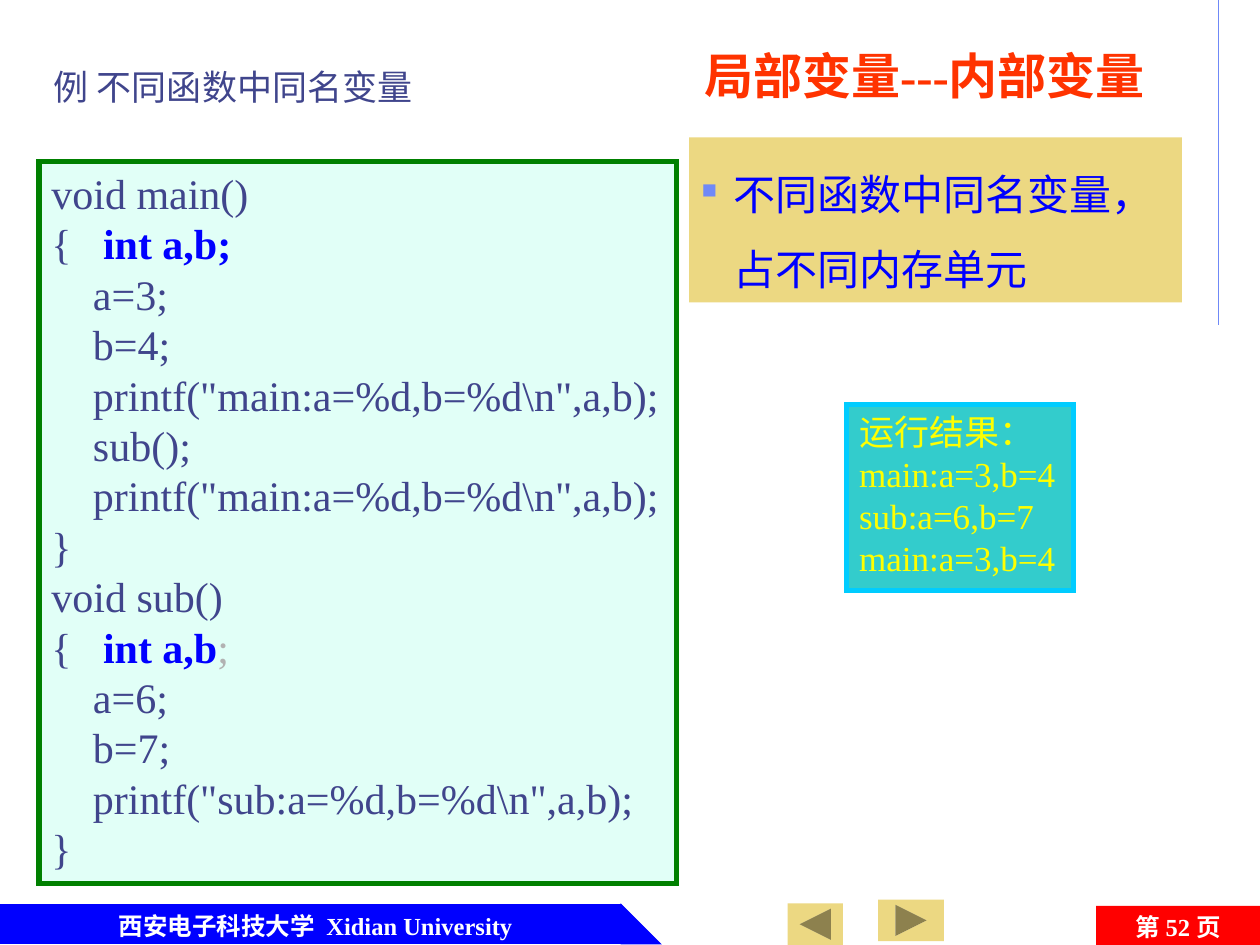
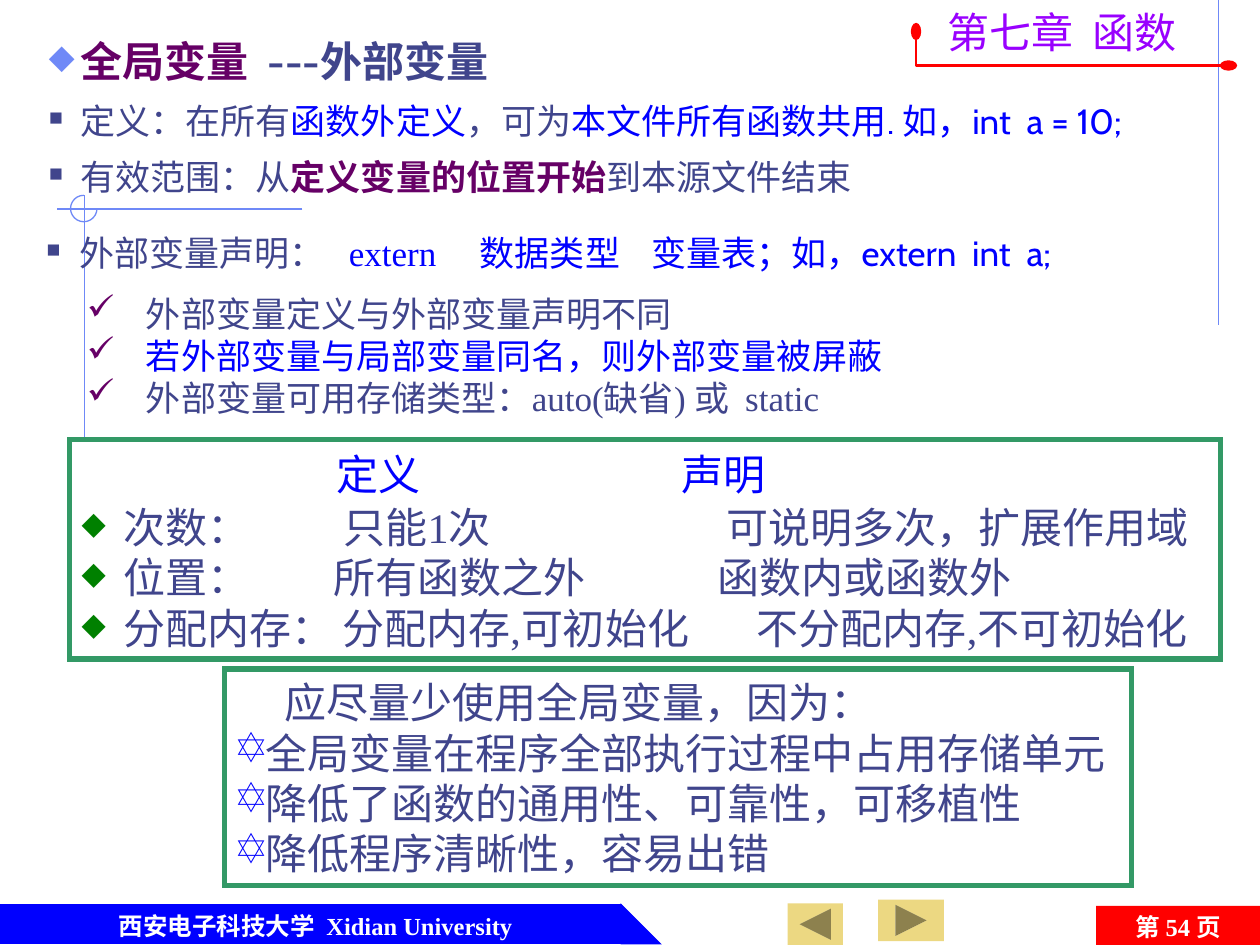
"""Build two lecture slides on local and global variables in C."""
from lxml import etree
from pptx import Presentation, util as u
from pptx.dml.color import RGBColor
from pptx.enum import shapes, text
from pptx.oxml.ns import qn

INK = RGBColor(0x40, 0x45, 0x8C)
BLUE = RGBColor(0x00, 0x00, 0xFF)
SKY = RGBColor(0x6F, 0x89, 0xF7)
RED = RGBColor(0xFF, 0x00, 0x00)
FLAME = RGBColor(0xFF, 0x33, 0x00)
VIOLET = RGBColor(0x99, 0x00, 0xFF)
PLUM = RGBColor(0x66, 0x00, 0x66)
SAND = RGBColor(0xEC, 0xD8, 0x82)
MINT = RGBColor(0xE1, 0xFF, 0xF7)
GREEN = RGBColor(0x00, 0x80, 0x00)
JADE = RGBColor(0x33, 0x99, 0x66)
TEAL = RGBColor(0x33, 0xCC, 0xCC)
CYAN = RGBColor(0x00, 0xCC, 0xFF)
YELLOW = RGBColor(0xFF, 0xFF, 0x00)
GREY = RGBColor(0xB2, 0xB2, 0xB2)
WHITE = RGBColor(0xFF, 0xFF, 0xFF)
ROMAN, CABIN, NOTO = "Times New Roman", "Cabin", "Noto Sans CJK SC"
KIND = shapes.MSO_SHAPE


def draw(slide, kind, at, fill=None, line=None, width=0.75):
    """Add a preset shape with the given fill and outline."""
    item = slide.shapes.add_shape(kind, *map(u.Inches, at))
    item.shadow.inherit = False
    if fill is None:
        item.fill.background()
    else:
        item.fill.solid()
        item.fill.fore_color.rgb = fill
    if line is None:
        item.line.fill.background()
    else:
        item.line.color.rgb = line
        item.line.width = u.Pt(width)
        etree.SubElement(item.line._get_or_add_ln(), qn("a:miter"), lim="800000")
    return item


def write(item, rows, size, font=ROMAN, align=text.PP_ALIGN.LEFT,
          anchor=text.MSO_ANCHOR.TOP):
    """Fill a shape with rows of (runs, options); a run is text, colour, bold, font."""
    frame = item.text_frame
    frame.word_wrap = True
    frame.auto_size = text.MSO_AUTO_SIZE.NONE
    frame.vertical_anchor = anchor
    frame.margin_left, frame.margin_right = u.Inches(0.1), 0
    frame.margin_top = frame.margin_bottom = u.Inches(0.05)
    if align == text.PP_ALIGN.CENTER:
        frame.margin_right = frame.margin_left
    for num, (runs, opts) in enumerate(rows):
        para = frame.add_paragraph() if num else frame.paragraphs[0]
        para.alignment = align
        pts = opts.get("size", size)
        para.line_spacing = u.Pt(opts.get("pitch", pts * 1.2))
        para.space_before = u.Pt(opts.get("gap", 0))
        props = para._p.get_or_add_pPr()
        left = opts.get("left", 0)
        hang = left if "mark" in opts else opts.get("hang", 0)
        props.set("marL", str(u.Inches(left)))
        props.set("indent", str(u.Inches(-hang)))
        if "mark" in opts:
            mark, tint, scale = opts["mark"]
            colour = etree.SubElement(props, qn("a:buClr"))
            etree.SubElement(colour, qn("a:srgbClr"), val=str(tint))
            etree.SubElement(props, qn("a:buSzPct"), val=str(scale * 1000))
            etree.SubElement(props, qn("a:buChar"), char=mark)
        if "tabs" in opts:
            stops = etree.SubElement(props, qn("a:tabLst"))
            for stop in opts["tabs"]:
                etree.SubElement(stops, qn("a:tab"), pos=str(u.Inches(stop)), algn="l")
        for words, tint, *more in runs:
            run = para.add_run()
            run.text = words
            run.font.size = u.Pt(pts)
            run.font.color.rgb = tint
            run.font.bold = bool(more and more[0])
            run.font.name = more[1] if len(more) > 1 else font
            east = etree.SubElement(run._r.get_or_add_rPr(), qn("a:ea"))
            east.set("typeface", NOTO)


deck = Presentation()
deck.slide_width, deck.slide_height = u.Inches(10), u.Inches(7.5)

RULE = (9.67, 0, 9.67, 2.58)
CROSS = [(2.4, 1.66, 0.45, 1.66), (0.67, 1.55, 0.67, 4.09)]
pages = []
for number, rules in (("52", [RULE]), ("54", [RULE] + CROSS)):
    page = deck.slides.add_slide(deck.slide_layouts[5])
    pages.append(page)
    for ends in rules:
        rule = page.shapes.add_connector(
            shapes.MSO_CONNECTOR.STRAIGHT, *map(u.Inches, ends))
        rule.line.color.rgb = SKY
        rule.line.width = u.Pt(0.75)
        etree.SubElement(rule._element.spPr, qn("a:effectLst"))
    draw(page, KIND.RECTANGLE, (0, 7.18, 4.92, 0.31), BLUE, BLUE)
    draw(page, KIND.RIGHT_TRIANGLE, (4.93, 7.18, 0.31, 0.31), BLUE, BLUE)
    school = page.shapes.add_textbox(*map(u.Inches, (0.29, 7.18, 4.43, 0.31)))
    write(school, [([("西安电子科技大学  Xidian University", WHITE, True)], {})],
          14, align=text.PP_ALIGN.CENTER)
    count = draw(page, KIND.RECTANGLE, (8.7, 7.19, 1.3, 0.33), RED)
    write(count, [([("第 ", WHITE, True, NOTO), (number + " ", WHITE, True),
                    ("页", WHITE, True, NOTO)], {})],
          14, align=text.PP_ALIGN.CENTER)
    draw(page, KIND.ACTION_BUTTON_FORWARD_OR_NEXT, (6.97, 7.14, 0.52, 0.33), SAND)
    back = draw(page, KIND.ACTION_BUTTON_FORWARD_OR_NEXT,
                (6.25, 7.17, 0.44, 0.33), SAND)
    back.rotation = 180

heads = [
    ((5.49, 0.31, 4.27, 0.57), "局部变量---内部变量", FLAME, True, ROMAN, 28),
    ((7.42, 0, 2.2, 0.5), "第七章  函数", VIOLET, False, NOTO, 24),
]
for page, (at, words, tint, bold, font, size) in zip(pages, heads):
    title = page.shapes.title
    title.left, title.top, title.width, title.height = map(u.Inches, at)
    write(title, [([(words, tint, bold)], {})], size, font)

local, world = pages

label = local.shapes.add_textbox(*map(u.Inches, (0.33, 0.47, 3.05, 0.43)))
write(label, [([("例 不同函数中同名变量", INK)], {})], 20)

STEP = {"left": 0.33}
BRACE = {"left": 0.41, "hang": 0.41}
code = [
    ([("void main()", INK)], {}),
    ([("{\t", INK), ("int a,b;", BLUE, True)], BRACE),
    ([("a=3;", INK)], STEP),
    ([("b=4;", INK)], STEP),
    ([('printf("main:a=%d,b=%d\\n",a,b);', INK)], STEP),
    ([("sub();", INK)], STEP),
    ([('printf("main:a=%d,b=%d\\n",a,b);', INK)], STEP),
    ([("}", INK)], {}),
    ([("void sub()", INK)], {}),
    ([("{\t", INK), ("int a,b", BLUE, True), (";", GREY)], BRACE),
    ([("a=6;", INK)], STEP),
    ([("b=7;", INK)], STEP),
    ([('printf("sub:a=%d,b=%d\\n",a,b);', INK)], STEP),
    ([("}", INK)], {}),
]
write(draw(local, KIND.RECTANGLE, (0.31, 1.28, 5.06, 5.73), MINT, GREEN, 3), code, 24)

lines = ["运行结果：", "main:a=3,b=4", "sub:a=6,b=7", "main:a=3,b=4"]
result = draw(local, KIND.RECTANGLE, (6.72, 3.21, 1.8, 1.48), TEAL, CYAN, 3)
write(result, [([(line, YELLOW)], {}) for line in lines], 20)

note = draw(local, KIND.RECTANGLE, (5.47, 1.09, 3.91, 1.31), SAND)
write(note, [([("不同函数中同名变量，占不同内存单元", BLUE)],
              {"left": 0.25, "pitch": 43, "gap": 4.8, "mark": ("■", SKY, 50)})],
      24, CABIN)

pen = world.shapes.build_freeform(u.Inches(7.27), u.Inches(0.25))
pen.add_line_segments([(u.Inches(7.27), u.Inches(0.52)),
                       (u.Inches(9.75), u.Inches(0.52))], close=False)
frame = pen.convert_to_shape()
frame.shadow.inherit = False
frame.fill.background()
frame.line.color.rgb = RED
frame.line.width = u.Pt(1.5)
for end in ("a:headEnd", "a:tailEnd"):
    etree.SubElement(frame.line._get_or_add_ln(), qn(end), type="oval", len="lg")

ring = draw(world, KIND.ARC, (0.56, 1.55, 0.21, 0.21), None, SKY)
ring.adjustments[0], ring.adjustments[1] = 0, 162.0

POINT = {"left": 0.25, "gap": 8, "size": 20, "mark": ("■", INK, 55)}
scope = [
    ([("全局变量  ", PLUM, True), ("---外部变量", INK, True)],
     {"left": 0.25, "gap": 4.8, "mark": ("◆", SKY, 80)}),
    ([("定义：在所有", INK), ("函数外定义", BLUE), ("，可为", INK),
      ("本文件所有函数共用. 如，int  a = 10;", BLUE)], POINT),
    ([("有效范围：从", INK), ("定义变量的位置开始", PLUM, True),
      ("到本源文件结束", INK)], POINT),
]
body = world.shapes.add_textbox(*map(u.Inches, (0.29, 0.23, 9.35, 1.65)))
write(body, scope, 24, CABIN)

STAR = {"mark": ("✡", BLUE, 100)}
why = [([("应尽量少使用全局变量，因为：", INK)], {"left": 0.38})]
for words in ("全局变量在程序全部执行过程中占用存储单元",
              "降低了函数的通用性、可靠性，可移植性",
              "降低程序清晰性，容易出错"):
    why.append(([(words, INK)], STAR))
write(draw(world, KIND.RECTANGLE, (1.78, 5.31, 7.2, 1.72), WHITE, JADE, 3),
      why, 24, anchor=text.MSO_ANCHOR.MIDDLE)

GEM = ("◆", GREEN, 75)
pairs = []
for words, stops in (
        ("次数：\t只能1次\t可说明多次，扩展作用域", [2.08, 5.12]),
        ("位置：\t所有函数之外\t函数内或函数外", [2.0, 5.05]),
        ("分配内存：\t分配内存,可初始化\t不分配内存,不可初始化", [2.07, 5.36])):
    pairs.append(([(words, INK)], {"left": 0.33, "tabs": stops, "mark": GEM}))
write(draw(world, KIND.RECTANGLE, (0.55, 3.49, 9.14, 1.74), WHITE, JADE, 3),
      pairs, 24, anchor=text.MSO_ANCHOR.BOTTOM)
for words, left in (("定义", 2.57), ("声明", 5.31)):
    head = world.shapes.add_textbox(*map(u.Inches, (left, 3.51, 1, 0.5)))
    write(head, [([(words, BLUE)], {})], 24)

form = world.shapes.add_textbox(*map(u.Inches, (0.27, 1.79, 8.98, 0.4)))
write(form, [([("外部变量声明：\t", INK), ("extern\t数据类型\t变量表；如，", BLUE),
               ("extern  int  a;", BLUE, False, CABIN)],
              {"left": 0.26, "tabs": [2.4, 3.44, 4.8], "mark": ("■", INK, 55)})], 20)

CHECK = {"left": 0.47, "mark": ("✓", PLUM, 100)}
facts = [("外部变量定义与外部变量声明不同", INK),
         ("若外部变量与局部变量同名，则外部变量被屏蔽", BLUE),
         ("外部变量可用存储类型：auto(缺省) 或  static", INK)]
checks = world.shapes.add_textbox(*map(u.Inches, (0.59, 2.27, 8.98, 1.1)))
write(checks, [([fact], CHECK) for fact in facts], 20)

deck.save("out.pptx")
